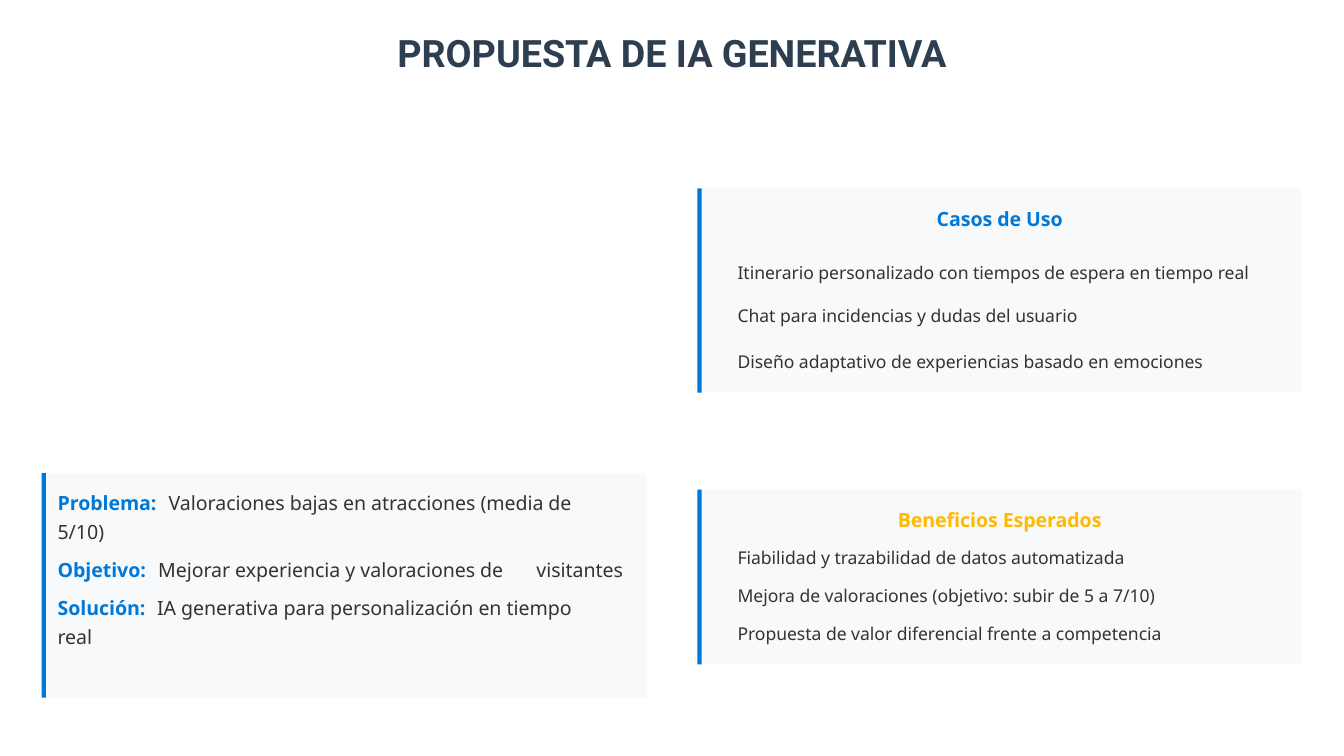
from dataclasses import dataclass

import pptx
import pptx.dml.color
import pptx.enum.shapes
import pptx.enum.text
import pptx.util

Cm = pptx.util.Cm
ALIGN = pptx.enum.text.PP_ALIGN


@dataclass(frozen=True)
class Theme:
    panel: str = "F8F9FA"
    blue: str = "0078D7"
    amber: str = "FFB900"
    ink: str = "333333"
    navy: str = "2C3E50"
    title_font: str = "Roboto"
    body_font: str = "Noto Sans"
    title_size: float = 20.2
    body_size: float = 10.5
    item_size: float = 9.4


THEME = Theme()


def rgb(color):
    return pptx.dml.color.RGBColor.from_string(color)


def add_text(slide, text, box, size=THEME.body_size, color=THEME.ink,
             bold=False, font=THEME.body_font, align=ALIGN.LEFT):
    tf = slide.shapes.add_textbox(*map(Cm, box)).text_frame
    tf.margin_left = tf.margin_right = tf.margin_top = tf.margin_bottom = 0
    tf.word_wrap = True
    tf.vertical_anchor = pptx.enum.text.MSO_ANCHOR.MIDDLE
    p = tf.paragraphs[0]
    p.text = text
    p.alignment = align
    p.font.name = font
    p.font.size = pptx.util.Pt(size)
    p.font.bold = bold
    p.font.color.rgb = rgb(color)


def add_panel(slide, box):
    x, y, w, h = box
    for width, color in ((w, THEME.panel), (0.08, THEME.blue)):
        sp = slide.shapes.add_shape(pptx.enum.shapes.MSO_SHAPE.RECTANGLE,
                                    Cm(x), Cm(y), Cm(width), Cm(h))
        sp.shadow.inherit = False
        sp.fill.solid()
        sp.fill.fore_color.rgb = rgb(color)
        sp.line.fill.background()


def add_title(slide, box, text):
    add_text(slide, text, box, THEME.title_size, THEME.navy, True,
             THEME.title_font, ALIGN.CENTER)


def add_summary(slide, box, statements):
    add_panel(slide, box)
    x, y = box[0] + 0.3, box[1]
    line_h, gap = 0.53, 0.1
    for top, label, label_w, text, text_w, rest, rest_at, rest_w in statements:
        dx, dy = rest_at
        row = y + top
        add_text(slide, label, (x, row, label_w, line_h),
                 color=THEME.blue, bold=True)
        add_text(slide, text, (x + label_w + gap, row, text_w, line_h))
        add_text(slide, rest, (x + dx, row + dy, rest_w, line_h))


def add_list(slide, box, heading, color, items):
    add_panel(slide, box)
    x, y, w, _ = box
    add_text(slide, heading, (x + 0.29, y + 0.29, w - 0.58, 0.56),
             color=color, bold=True, align=ALIGN.CENTER)
    for text, top, height in items:
        add_text(slide, text, (x + 0.76, y + top, w - 1.07, height),
                 THEME.item_size)


def main():
    prs = pptx.Presentation()
    prs.slide_width, prs.slide_height = Cm(25.4), Cm(14.28)
    s = prs.slides.add_slide(prs.slide_layouts[6])

    left, right, panel_w = 0.79, 13.18, 11.43
    add_summary(s, (left, 8.94, panel_w, 4.24), [
        (0.29, "Problema:", 2.0, "Valoraciones bajas en atracciones (media de",
         8.2, "5/10)", (0, 0.55), 0.97),
        (1.56, "Objetivo:", 1.8, "Mejorar experiencia y valoraciones de",
         7.15, "visitantes", (9.05, 0), 1.78),
        (2.28, "Solución:", 1.78, "IA generativa para personalización en tiempo",
         8.46, "real", (0, 0.55), 0.9),
    ])
    add_list(s, (right, 3.56, panel_w, 3.86), "Casos de Uso", THEME.blue, [
        ("Itinerario personalizado con tiempos de espera en tiempo real",
         1.02, 1.12),
        ("Chat para incidencias y dudas del usuario", 2.12, 0.56),
        ("Diseño adaptativo de experiencias basado en emociones", 2.99, 0.56),
    ])
    benefits = [
        "Fiabilidad y trazabilidad de datos automatizada",
        "Mejora de valoraciones (objetivo: subir de 5 a 7/10)",
        "Propuesta de valor diferencial frente a competencia",
    ]
    add_list(s, (right, 9.25, panel_w, 3.3), "Beneficios Esperados",
             THEME.amber,
             [(text, 1.01 + 0.71 * i, 0.56) for i, text in enumerate(benefits)])
    add_title(s, (7.39, 0.56, 10.62, 0.86), "PROPUESTA DE IA GENERATIVA")

    prs.save("out.pptx")


if __name__ == "__main__":
    main()
